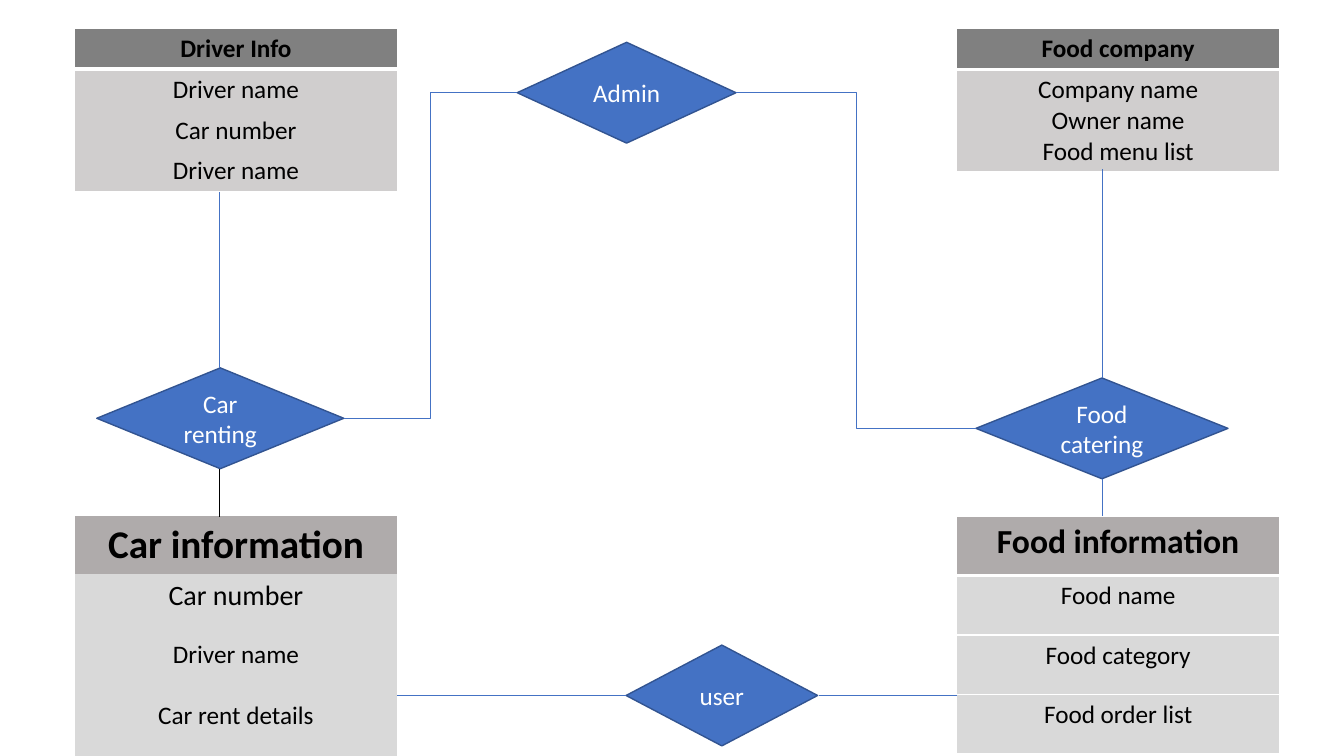
from lxml import etree
from pptx import Presentation
from pptx.dml.color import RGBColor
from pptx.enum.shapes import MSO_CONNECTOR as Conn, MSO_SHAPE as Shape
from pptx.enum.text import MSO_ANCHOR as Anchor, PP_ALIGN as Align
from pptx.oxml.ns import qn
from pptx.util import Inches, Pt

BLACK = RGBColor(0x00, 0x00, 0x00)
WHITE = RGBColor(0xFF, 0xFF, 0xFF)
BLUE = RGBColor(0x44, 0x72, 0xC4)
NAVY = RGBColor(0x32, 0x54, 0x91)
DARK_GRAY = RGBColor(0x80, 0x80, 0x80)
GRAY = RGBColor(0xAF, 0xAB, 0xAB)
WARM_GRAY = RGBColor(0xD0, 0xCE, 0xCE)
LIGHT_GRAY = RGBColor(0xD9, 0xD9, 0xD9)


class Diagram:
    """Entity tables, relation diamonds and the lines between them."""

    font = "Calibri"
    size = 18
    table_width = 3.2

    def __init__(self, prs):
        self.s = prs.slides.add_slide(prs.slide_layouts[6])

    def text(self, tf, lines, size, color, bold=False):
        style = {"name": self.font, "size": Pt(size), "bold": bold}
        for i, line in enumerate(lines):
            p = tf.add_paragraph() if i else tf.paragraphs[0]
            p.alignment = Align.CENTER
            r = p.add_run()
            r.text = line
            for name, value in style.items():
                setattr(r.font, name, value)
            r.font.color.rgb = color

    def borders(self, cell, widths):
        """Draw the sides L, R, T, B in white; a width of 0 hides the side."""
        tc_pr = cell._tc.get_or_add_tcPr()
        for i, (side, width) in enumerate(zip("LRTB", widths)):
            ln = etree.Element(qn(f"a:ln{side}"), w=str(Pt(width)))
            if width:
                fill = etree.SubElement(ln, qn("a:solidFill"))
                etree.SubElement(fill, qn("a:srgbClr"), val=str(WHITE))
            else:
                etree.SubElement(ln, qn("a:noFill"))
            tc_pr.insert(i, ln)

    def table(self, x, y, heights, rows, sizes, fills, sides, rules):
        """sides: side border of each row; rules: lines above, between, below."""
        frame = self.s.shapes.add_table(
            len(rows), 1, Inches(x), Inches(y),
            Inches(self.table_width), Inches(sum(heights)))
        for i, lines in enumerate(rows):
            frame.table.rows[i].height = Inches(heights[i])
            cell = frame.table.cell(i, 0)
            cell.fill.solid()
            cell.fill.fore_color.rgb = fills[min(i, 1)]
            self.text(cell.text_frame, lines.split("\n"), sizes[i], BLACK, i == 0)
            self.borders(cell, (sides[i], sides[i], rules[i], rules[i + 1]))

    def diamond(self, x, y, width, label):
        sp = self.s.shapes.add_shape(
            Shape.DIAMOND, Inches(x), Inches(y), Inches(width), Inches(1))
        sp.shadow.inherit = False
        sp.fill.solid()
        sp.fill.fore_color.rgb = BLUE
        sp.line.color.rgb = NAVY
        sp.line.width = Pt(1)
        tf = sp.text_frame
        tf.word_wrap = True
        tf.vertical_anchor = Anchor.MIDDLE
        self.text(tf, [label], self.size, WHITE)

    def line(self, start, end, color=BLUE, kind=Conn.STRAIGHT):
        cxn = self.s.shapes.add_connector(
            kind, *(Inches(v) for v in (*start, *end)))
        cxn.line.color.rgb = color
        cxn.line.width = Pt(0.5)
        etree.SubElement(cxn._element.spPr, qn("a:effectLst"))


def main():
    prs = Presentation()
    prs.slide_width, prs.slide_height = Inches(13.33), Inches(7.5)
    d = Diagram(prs)
    left, right = 0.74, 9.49
    top, bottom = 0.28, 5.12
    car_x, food_x = 2.18, 10.93

    # Lower tables
    d.table(left, bottom, [0.56, 0.6, 0.6, 0.6],
            ["Car information", "Car number", "Driver name", "Car rent details"],
            [28, 20, 18, 18], (GRAY, LIGHT_GRAY), [0, 0, 1, 0], [0] * 5)
    d.table(right, bottom, [0.59] * 4,
            ["Food information", "Food name", "Food category", "Food order list"],
            [24, 18, 18, 18], (GRAY, LIGHT_GRAY), [1] * 4, [1, 3, 1, 1, 1])

    # Relations
    d.diamond(0.96, 3.65, 2.45, "Car renting")
    d.diamond(5.13, 0.42, 2.17, "Admin")
    d.diamond(9.68, 3.75, 2.5, "Food catering")
    d.diamond(6.21, 6.4, 1.9, "user")

    # Upper tables
    d.table(left, top, [0.405] * 4,
            ["Driver Info", "Driver name", "Car number", "Driver name"],
            [18] * 4, (DARK_GRAY, WARM_GRAY), [1, 1, 0, 1], [1, 3, 0, 0, 1])
    d.table(right, top, [0.41, 1],
            ["Food company", "Company name\nOwner name\nFood menu list"],
            [18] * 2, (DARK_GRAY, WARM_GRAY), [1] * 2, [1, 3, 1])

    # Vertical and horizontal links
    d.line((car_x, 4.65), (car_x, 5.13), BLACK)
    d.line((car_x, 3.65), (car_x, 1.9))
    d.line((food_x, 4.75), (food_x, bottom))
    d.line((food_x, 3.75), (food_x, 1.68))
    d.line((6.21, 6.9), (3.94, 6.9))
    d.line((right, 6.9), (8.12, 6.9))

    # Elbow links to Admin
    d.line((3.41, 4.15), (5.13, 0.92), kind=Conn.ELBOW)
    d.line((7.3, 0.92), (9.68, 4.25), kind=Conn.ELBOW)

    prs.save("out.pptx")


if __name__ == "__main__":
    main()
